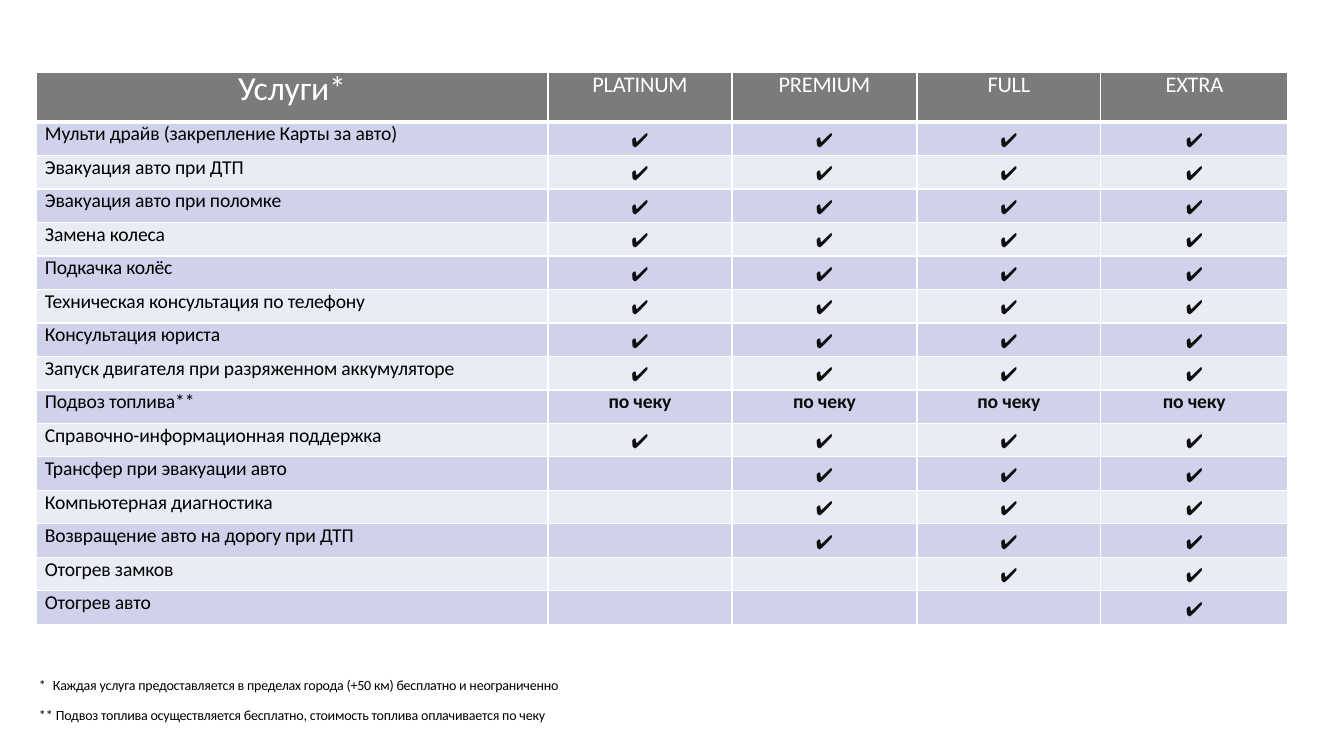
from lxml import etree
from pptx import Presentation
from pptx.dml.color import RGBColor
from pptx.enum.text import PP_ALIGN
from pptx.oxml.ns import qn
from pptx.util import Emu, Pt

LEFT, MID = PP_ALIGN.LEFT, PP_ALIGN.CENTER
SCALE = 914400 / 100.8
GREY, LILAC, PALE = "7B7B7B", "CFD2EA", "E9EBF5"
WHITE, BLACK, INK = "FFFFFF", "000000", "0D0D0D"

HEADS = ["Услуги*", "PLATINUM", "PREMIUM", "FULL", "EXTRA"]
FUEL = "Подвоз топлива**"
# Each service with the number of tiers that lack it
ROWS = [
    ("Мульти драйв (закрепление Карты за авто)", 0),
    ("Эвакуация авто при ДТП", 0),
    ("Эвакуация авто при поломке", 0),
    ("Замена колеса", 0),
    ("Подкачка колёс", 0),
    ("Техническая консультация по телефону", 0),
    ("Консультация юриста", 0),
    ("Запуск двигателя при разряженном аккумуляторе", 0),
    (FUEL, 0),
    ("Справочно-информационная поддержка", 0),
    ("Трансфер при эвакуации авто", 1),
    ("Компьютерная диагностика", 1),
    ("Возвращение авто на дорогу при ДТП", 1),
    ("Отогрев замков", 2),
    ("Отогрев авто", 3),
]
NOTES = [
    ("* ", "Каждая услуга предоставляется в пределах города (+50 км) бесплатно и неограниченно"),
    ("** ", "Подвоз топлива осуществляется бесплатно, стоимость топлива оплачивается по чеку"),
]


def px(n):
    return Emu(round(n * SCALE))


def color(code):
    return RGBColor.from_string(code)


def write(para, text, size=14, font="Calibri", ink=BLACK, bold=False,
          align=LEFT, line=None, track=-15):
    """Add a run; line is in points, track in hundredths of a point."""
    para.alignment = align
    if line:
        para.line_spacing = Pt(line)
    run = para.add_run()
    run.text = text
    run.font.size = Pt(size)
    run.font.name = font
    run.font.bold = bold
    run.font.color.rgb = color(ink)
    props = run._r.get_or_add_rPr()
    props.set("spc", str(track))
    for tag in ("a:ea", "a:cs"):
        etree.SubElement(props, qn(tag)).set("typeface", font)


class Deck:
    def __init__(self):
        self.prs = Presentation()
        self.prs.slide_width, self.prs.slide_height = px(1344), px(756)
        self.slide = self.prs.slides.add_slide(self.prs.slide_layouts[6])
        self.head = {"ink": WHITE, "align": MID, "under": 3}
        self.check = {"text": "✔", "font": "Lato", "ink": INK, "align": MID, "top": 6}
        self.bill = {"text": "по чеку", "bold": True, "ink": INK, "align": MID}

    def grid(self, x, y, widths, head, body, count):
        """Add a plain table with a head row and count equal rows in body."""
        frame = self.slide.shapes.add_table(
            count + 1, len(widths), px(x), px(y), px(sum(widths)), px(head + body))
        table = frame.table
        table.first_row = table.horz_banding = False
        for col, width in zip(table.columns, widths):
            col.width = px(width)
        for row in table.rows:
            row.height = Emu(px(body) // count)
        table.rows[0].height = px(head)
        return table

    def cell(self, cell, fill, text="", left=0, top=0, over=1, under=1, **style):
        """Fill a cell; over and under are its top and bottom border in points."""
        cell.margin_left, cell.margin_top = px(left), px(top)
        cell.margin_right = cell.margin_bottom = 0
        cell.fill.solid()
        cell.fill.fore_color.rgb = color(fill)
        props = cell._tc.get_or_add_tcPr()
        edges = {"a:lnL": 1, "a:lnR": 1, "a:lnT": over, "a:lnB": under}
        for i, (tag, width) in enumerate(edges.items()):
            edge = etree.Element(qn(tag), w=str(int(Pt(width))))
            solid = etree.SubElement(edge, qn("a:solidFill"))
            etree.SubElement(solid, qn("a:srgbClr"), val=WHITE)
            props.insert(i, edge)
        para = cell.text_frame.paragraphs[0]
        if text:
            write(para, text, **style)
        else:
            para.font.size = Pt(14)

    def notes(self, x, y, w, h, items):
        box = self.slide.shapes.add_textbox(px(x), px(y), px(w), px(h))
        frame = box.text_frame
        frame.word_wrap = True
        frame.margin_left = frame.margin_top = px(2)
        frame.margin_right = frame.margin_bottom = 0
        for i, (mark, text) in enumerate(items):
            para = frame.add_paragraph() if i else frame.paragraphs[0]
            if i:
                para.space_before = Pt(9)
            write(para, mark, size=10, track=0 if i else 140)
            write(para, text, size=10)


def main():
    deck = Deck()
    table = deck.grid(36, 72, [512, 184, 185, 184, 187], 50, 503, len(ROWS))
    for c, name in enumerate(HEADS):
        size, line = (16, 18.8) if c else (24, 26.6)
        deck.cell(table.cell(0, c), GREY, name, size=size, line=line, **deck.head)
    for r, (name, lack) in enumerate(ROWS, 1):
        band = LILAC if r % 2 else PALE
        over = 3 if r == 1 else 1
        mark = deck.bill if name == FUEL else deck.check
        deck.cell(table.cell(r, 0), band, name, left=9, over=over)
        for c in range(1, len(HEADS)):
            style = mark if c > lack else {}
            deck.cell(table.cell(r, c), band, over=over, **style)
    deck.notes(37, 675, 533, 49, NOTES)
    deck.prs.save("out.pptx")


if __name__ == "__main__":
    main()
